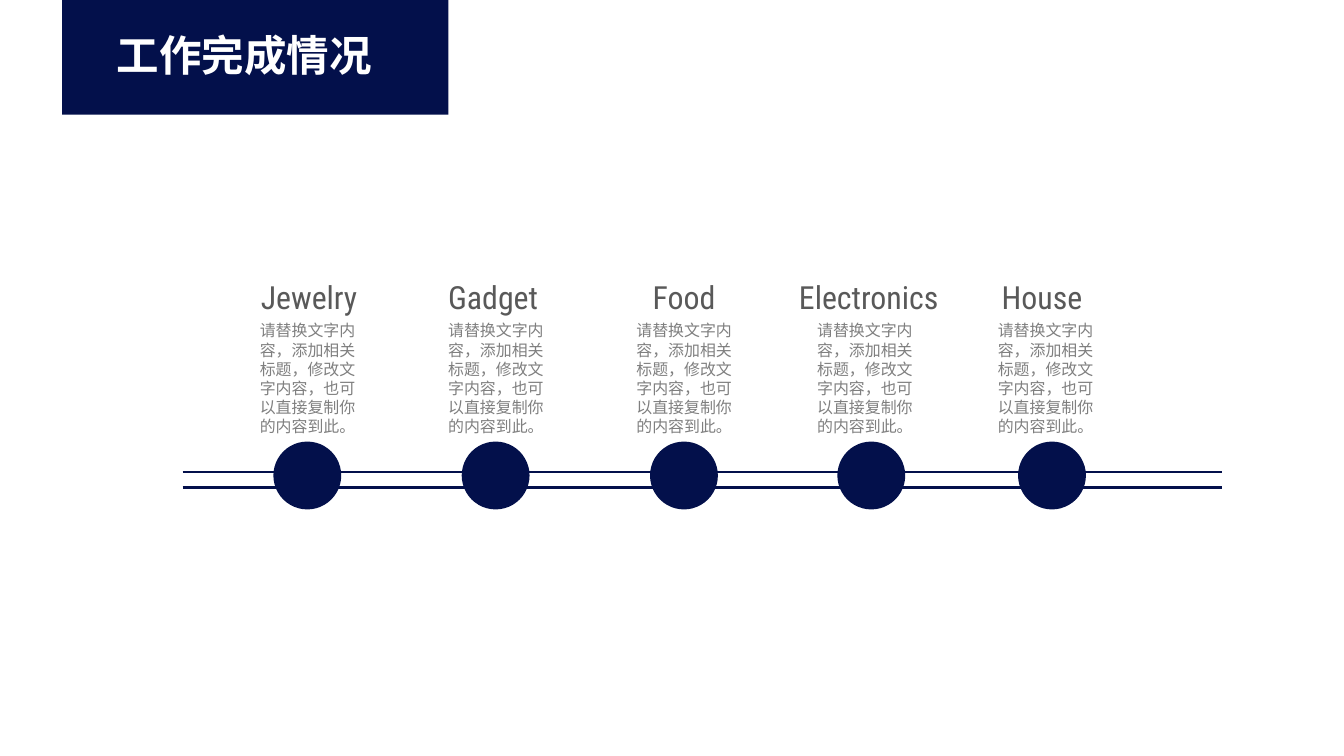
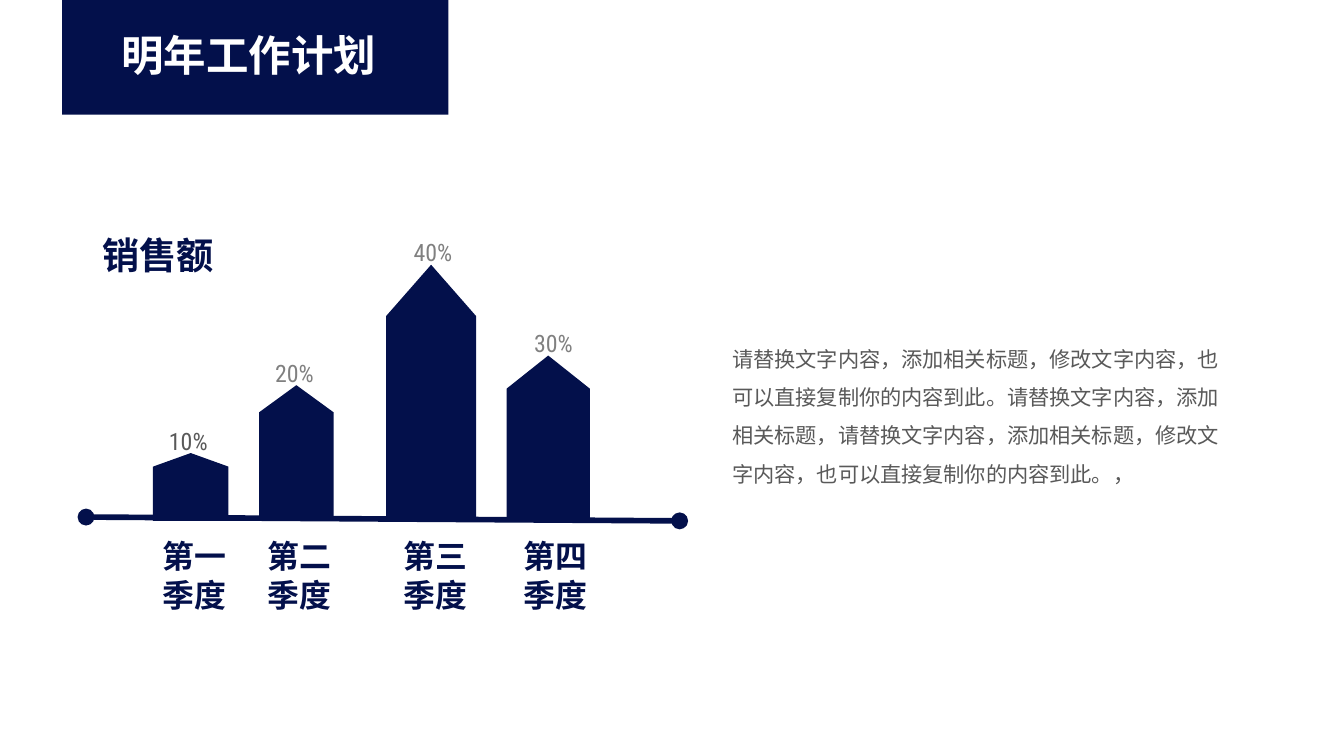
from lxml.etree import SubElement
from pptx import Presentation
from pptx.dml.color import RGBColor
from pptx.enum.shapes import MSO_CONNECTOR, MSO_SHAPE
from pptx.enum.text import MSO_ANCHOR, MSO_AUTO_SIZE, PP_ALIGN
from pptx.oxml.ns import qn
from pptx.util import Inches, Pt

COLORS = {
    "navy": "03104B",
    "white": "FFFFFF",
    "dark": "595959",
    "gray": "7F7F7F",
    "silver": "808080",
}
CHINESE_FONT = "Noto Sans CJK SC"
LATIN_FONT = "Roboto Condensed"
TITLE_ONLY = 5

MILESTONE_TEXT = "请替换文字内容，添加相关标题，修改文字内容，也可以直接复制你的内容到此。"
# Heading, milestone left, heading offset and width, circle offset
MILESTONES = [
    ("Jewelry", 2.62, 0.01, 1.26, 0.24),
    ("Gadget", 4.59, 0, 1.2, 0.24),
    ("Food", 6.56, 0.17, 1, 0.24),
    ("Electronics", 8.45, -0.19, 1.76, 0.31),
    ("House", 10.34, 0.04, 1.15, 0.31),
]

PLAN_TEXT = (
    "请替换文字内容，添加相关标题，修改文字内容，也可以直接复制你的内容到此。"
    "请替换文字内容，添加相关标题，请替换文字内容，添加相关标题，修改文字内容，"
    "也可以直接复制你的内容到此。，"
)
# Quarter, value, value colour, value left, bar left, bar width, bar height,
# quarter left; all lefts are offsets from the chart's left edge
QUARTERS = [
    ("第一季度", "10%", "dark", 0.77, 0.7, 0.79, 0.71, 0.7),
    ("第二季度", "20%", "silver", 1.88, 1.81, 0.78, 1.42, 1.8),
    ("第三季度", "40%", "silver", 3.33, 3.14, 0.94, 2.68, 3.22),
    ("第四季度", "30%", "silver", 4.59, 4.4, 0.87, 1.73, 4.48),
]


def rgb(name):
    return RGBColor.from_string(COLORS[name])


def write(shape, text, size, color, font=CHINESE_FONT, bold=False, wrap=True,
          align=PP_ALIGN.LEFT, inset=None, spacing=None, grow=True):
    frame = shape.text_frame
    frame.text = text
    frame.word_wrap = wrap
    frame.vertical_anchor = MSO_ANCHOR.TOP
    frame.auto_size = MSO_AUTO_SIZE.SHAPE_TO_FIT_TEXT if grow else MSO_AUTO_SIZE.NONE
    if inset is not None:
        frame.margin_left = frame.margin_right = Inches(inset)
        frame.margin_top = frame.margin_bottom = Inches(inset)
    paragraph = frame.paragraphs[0]
    paragraph.alignment = align
    if spacing:
        paragraph.line_spacing = spacing
    paragraph.font.size = Pt(size)
    paragraph.font.bold = bold
    paragraph.font.color.rgb = rgb(color)
    paragraph.font.name = font
    # East Asian characters take their typeface from a separate element
    properties = paragraph._p.pPr.find(qn("a:defRPr"))
    SubElement(properties, qn("a:ea")).set("typeface", font)


def add_text(slide, left, top, width, height, text, size, color, **style):
    box = slide.shapes.add_textbox(
        Inches(left), Inches(top), Inches(width), Inches(height))
    write(box, text, size, color, **style)


def add_solid(slide, kind, left, top, width, height):
    shape = slide.shapes.add_shape(
        kind, Inches(left), Inches(top), Inches(width), Inches(height))
    shape.shadow.inherit = False
    shape.fill.solid()
    shape.fill.fore_color.rgb = rgb("navy")
    shape.line.fill.background()
    return shape


def add_line(slide, start, end, weight, round_ends=False):
    points = [Inches(value) for value in (*start, *end)]
    connector = slide.shapes.add_connector(MSO_CONNECTOR.STRAIGHT, *points)
    connector.line.color.rgb = rgb("navy")
    connector.line.width = Pt(weight)
    if round_ends:
        outline = connector.line._get_or_add_ln()
        for tag in ("a:headEnd", "a:tailEnd"):
            SubElement(outline, qn(tag)).set("type", "oval")
    SubElement(connector._element.spPr, qn("a:effectLst"))


def add_titled_slide(presentation, title, title_left):
    slide = presentation.slides.add_slide(presentation.slide_layouts[TITLE_ONLY])
    # Title band, behind the title
    band = add_solid(slide, MSO_SHAPE.RECTANGLE, 0.65, 0, 4.04, 1.2)
    slide.shapes._spTree.insert(2, band._element)
    # Title
    shape = slide.shapes.title
    shape.left, shape.top = Inches(title_left), Inches(0.25)
    shape.width, shape.height = Inches(2.87), Inches(0.63)
    write(shape, title, 32, "white", bold=True, wrap=False)
    return slide


def add_milestone(slide, top, heading, left, heading_offset, heading_width,
                  circle_offset):
    add_text(slide, left + heading_offset, top, heading_width, 0.5,
             heading, 24, "dark", font=LATIN_FONT, grow=False)
    add_text(slide, left, top + 0.45, 1.26, 1.31, MILESTONE_TEXT, 12, "gray")
    add_solid(slide, MSO_SHAPE.OVAL, left + circle_offset, top + 1.76, 0.71, 0.71)


def add_timeline(slide, left, top, width):
    # Double rail
    for offset in (2.08, 2.24):
        add_line(slide, (left, top + offset), (left + width, top + offset), 2)
    # Milestones
    for milestone in MILESTONES:
        add_milestone(slide, top, *milestone)


def add_sales_figure(slide, left, top):
    baseline = top + 3.07
    add_text(slide, left + 0.07, top, 1.42, 0.57, "销售额", 28, "navy", bold=True)
    # Axis
    add_line(slide, (left, baseline - 0.04), (left + 6.21, baseline), 4.25,
             round_ends=True)
    # Pointed bars with their values and quarters
    for (quarter, value, color, value_left, bar_left, width, height,
         quarter_left) in QUARTERS:
        bar = add_solid(slide, MSO_SHAPE.FLOWCHART_OFFPAGE_CONNECTOR,
                        left + bar_left, baseline - height, width, height)
        bar.rotation = 180
        add_text(slide, left + value_left, baseline - height - 0.32, 0.6, 0.35,
                 value, 18, color, font=LATIN_FONT, align=PP_ALIGN.CENTER,
                 inset=0.04, grow=False)
        add_text(slide, left + quarter_left, baseline + 0.12, 1.02, 0.91,
                 quarter, 24, "navy", bold=True)


def build_progress_slide(presentation):
    slide = add_titled_slide(presentation, "工作完成情况", 1.12)
    add_timeline(slide, 1.91, 2.86, 10.87)


def build_plan_slide(presentation):
    slide = add_titled_slide(presentation, "明年工作计划", 1.17)
    add_sales_figure(slide, 0.9, 2.38)
    # Explanation
    add_text(slide, 7.66, 3.49, 5.28, 1.57, PLAN_TEXT, 16, "dark",
             inset=0, spacing=1.5)


def main():
    presentation = Presentation()
    presentation.slide_width = Inches(14.06)
    presentation.slide_height = Inches(7.91)
    build_progress_slide(presentation)
    build_plan_slide(presentation)
    presentation.save("out.pptx")


if __name__ == "__main__":
    main()
